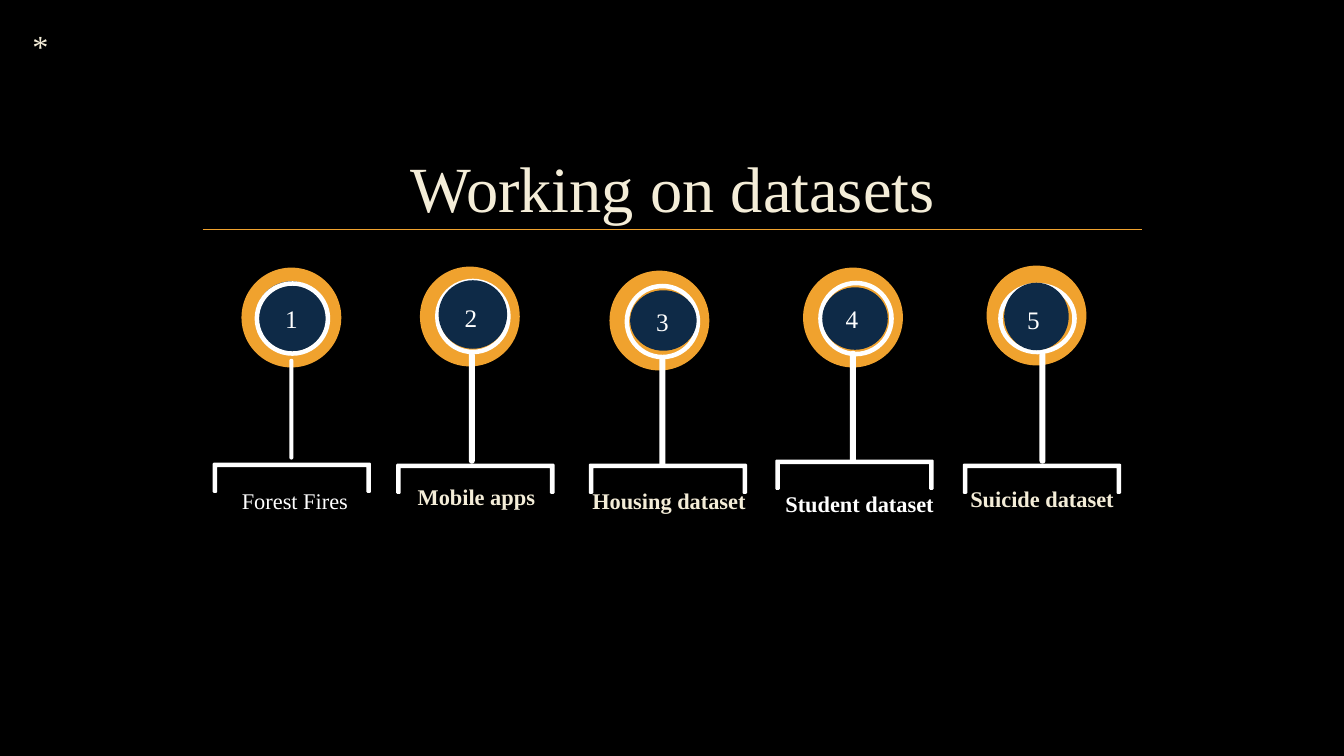
from dataclasses import dataclass

from lxml.etree import SubElement
from pptx import Presentation
from pptx.dml.color import RGBColor
from pptx.enum.shapes import MSO_CONNECTOR, MSO_SHAPE
from pptx.enum.text import MSO_ANCHOR, MSO_AUTO_SIZE, PP_ALIGN
from pptx.oxml.ns import qn
from pptx.util import Inches, Pt


@dataclass(frozen=True)
class Theme:
    font: str = "Times New Roman"
    black: RGBColor = RGBColor(0x00, 0x00, 0x00)
    white: RGBColor = RGBColor(0xFF, 0xFF, 0xFF)
    cream: RGBColor = RGBColor(0xF4, 0xED, 0xD8)
    orange: RGBColor = RGBColor(0xF0, 0xA2, 0x2E)
    navy: RGBColor = RGBColor(0x0E, 0x2A, 0x47)
    title_size: int = 46
    body_size: int = 23
    number_size: int = 18
    label_size: int = 16


THEME = Theme()
DISC_SIZE = 0.99
STROKE = 0.045
BRACKET_WIDTH, BRACKET_HEIGHT, BRACKET_CORNER = 1.57, 0.3, 0.01
LABEL_WIDTH = 2.27
NUMBER_WIDTH, NUMBER_HEIGHT = 0.37, 0.4

# Circles are (center x, center y, width, height); the rest are (left, top, ...).
MILESTONES = [
    {"disc": (2.89, 3.15), "ring": (2.9, 3.16, 0.75, 0.74),
     "core": (2.89, 3.14, 0.7, 0.7), "stem": (2.87, 3.56, 0.04, 1),
     "bracket": (2.11, 4.59), "number": (2.73, 2.96),
     "label": "Forest Fires", "label_box": (1.79, 4.75, 0.45),
     "color": THEME.white, "bold": False, "spacing": 1.0},
    {"disc": (4.66, 3.14), "ring": (4.69, 3.14, 0.75, 0.75),
     "core": (4.69, 3.12, 0.68, 0.68), "stem": (4.65, 3.49, 0.06, 1.11),
     "bracket": (3.93, 4.6), "number": (4.51, 2.95),
     "label": "Mobile apps", "label_box": (3.59, 4.95, 0.21),
     "color": THEME.cream, "bold": True, "spacing": 0.9},
    {"disc": (6.54, 3.18), "ring": (6.57, 3.19, 0.75, 0.75),
     "core": (6.58, 3.18, 0.66, 0.6), "stem": (6.54, 3.53, 0.06, 1.11),
     "bracket": (5.84, 4.6), "number": (6.41, 2.99),
     "label": "Housing dataset", "label_box": (5.5, 4.99, 0.21),
     "color": THEME.cream, "bold": True, "spacing": 0.9},
    {"disc": (8.46, 3.15), "ring": (8.49, 3.16, 0.75, 0.75),
     "core": (8.48, 3.16, 0.65, 0.62), "stem": (8.43, 3.48, 0.06, 1.11),
     "bracket": (7.69, 4.56), "number": (8.29, 2.96),
     "label": "Student dataset", "label_box": (7.39, 5.02, 0.21),
     "color": THEME.white, "bold": True, "spacing": 1.0},
    {"disc": (10.28, 3.13), "ring": (10.29, 3.16, 0.78, 0.71),
     "core": (10.28, 3.14, 0.64, 0.67), "stem": (10.31, 3.49, 0.06, 1.11),
     "bracket": (9.55, 4.6), "number": (10.09, 2.97),
     "label": "Suicide dataset", "label_box": (9.2, 4.97, 0.21),
     "color": THEME.cream, "bold": True, "spacing": 0.9},
]


class SlideBuilder:
    def __init__(self, slide, theme):
        self.slide = slide
        self.theme = theme
        background = slide.background.fill
        background.solid()
        background.fore_color.rgb = theme.black

    def paint(self, shape, color):
        shape.shadow.inherit = False
        shape.fill.solid()
        shape.fill.fore_color.rgb = color
        shape.line.fill.background()

    def preset(self, kind, box, color):
        shape = self.slide.shapes.add_shape(kind, *map(Inches, box))
        self.paint(shape, color)
        return shape

    def circle(self, center_x, center_y, width, height, color, kind=MSO_SHAPE.OVAL):
        box = (center_x - width / 2, center_y - height / 2, width, height)
        return self.preset(kind, box, color)

    def ring(self, center_x, center_y, width, height):
        shape = self.circle(center_x, center_y, width, height,
                            self.theme.white, MSO_SHAPE.DONUT)
        shape.adjustments[0] = STROKE / min(width, height)

    def stem(self, box):
        shape = self.preset(MSO_SHAPE.ROUNDED_RECTANGLE, box, self.theme.white)
        shape.adjustments[0] = 0.5

    def bracket(self, left, top):
        """Draw a bracket open at the bottom, with slightly cut outer corners."""
        cut = BRACKET_CORNER
        half = [(0, cut), (0, BRACKET_HEIGHT - cut), (cut, BRACKET_HEIGHT),
                (STROKE - cut, BRACKET_HEIGHT), (STROKE, BRACKET_HEIGHT - cut),
                (STROKE, STROKE)]
        mirrored = [(BRACKET_WIDTH - x, y) for x, y in reversed(half)]
        outline = [(cut, 0), *half, *mirrored, (BRACKET_WIDTH - cut, 0)]
        points = [(Inches(left + x), Inches(top + y)) for x, y in outline]
        builder = self.slide.shapes.build_freeform(*points[0])
        builder.add_line_segments(points[1:], close=True)
        self.paint(builder.convert_to_shape(), self.theme.white)

    def rule(self, left, right, top, color):
        connector = self.slide.shapes.add_connector(
            MSO_CONNECTOR.STRAIGHT, Inches(left), Inches(top), Inches(right), Inches(top))
        connector.line.color.rgb = color
        connector.line.width = Pt(0.75)
        SubElement(connector._element.spPr, qn("a:effectLst"))

    def text(self, text, box, size, color, bold=False, frame_format=None,
             paragraph_format=None):
        frame = self.slide.shapes.add_textbox(*map(Inches, box)).text_frame
        paragraph = frame.paragraphs[0]
        paragraph.text = text
        font = paragraph.runs[0].font
        font.color.rgb = color
        formats = [
            (frame, {"word_wrap": True, **(frame_format or {})}),
            (paragraph, paragraph_format or {}),
            (font, {"name": self.theme.font, "size": Pt(size), "bold": bold}),
        ]
        for target, values in formats:
            for name, value in values.items():
                setattr(target, name, value)

    def caption(self, text, box, size, color, bold=False, spacing=0.9):
        """Add centred text that stands on the bottom of its box."""
        sides = ("left", "top", "right", "bottom")
        frame_format = {f"margin_{side}": Inches(0.1) for side in sides}
        frame_format["vertical_anchor"] = MSO_ANCHOR.BOTTOM
        self.text(text, box, size, color, bold, frame_format,
                  {"alignment": PP_ALIGN.CENTER, "line_spacing": spacing})

    def milestone(self, number, item):
        theme = self.theme
        self.circle(*item["disc"], DISC_SIZE, DISC_SIZE, theme.orange)
        self.bracket(*item["bracket"])
        if number == 1:
            self.circle(*item["core"], theme.navy)
            self.ring(*item["ring"])
            self.stem(item["stem"])
        else:
            self.ring(*item["ring"])
            self.stem(item["stem"])
            self.circle(*item["core"], theme.navy)
        left, top, height = item["label_box"]
        self.caption(item["label"], (left, top, LABEL_WIDTH, height), theme.label_size,
                     item["color"], item["bold"], item["spacing"])
        self.text(str(number), (*item["number"], NUMBER_WIDTH, NUMBER_HEIGHT),
                  theme.number_size, theme.white,
                  frame_format={"auto_size": MSO_AUTO_SIZE.SHAPE_TO_FIT_TEXT})


def main():
    presentation = Presentation()
    presentation.slide_width = Inches(13.33)
    presentation.slide_height = Inches(7.5)
    slide = presentation.slides.add_slide(presentation.slide_layouts[6])
    builder = SlideBuilder(slide, THEME)

    builder.text("*", (0.18, 0.17, 12.98, 7.08), THEME.body_size, THEME.cream,
                 frame_format={"margin_left": Inches(0.14)},
                 paragraph_format={"line_spacing": 1.1, "space_after": Pt(6)})
    builder.caption("Working on datasets", (2.01, 1.69, 9.32, 0.66),
                    THEME.title_size, THEME.cream)
    builder.rule(2.01, 11.33, 2.28, THEME.orange)
    for number, item in enumerate(MILESTONES, start=1):
        builder.milestone(number, item)

    presentation.save("out.pptx")


if __name__ == "__main__":
    main()
